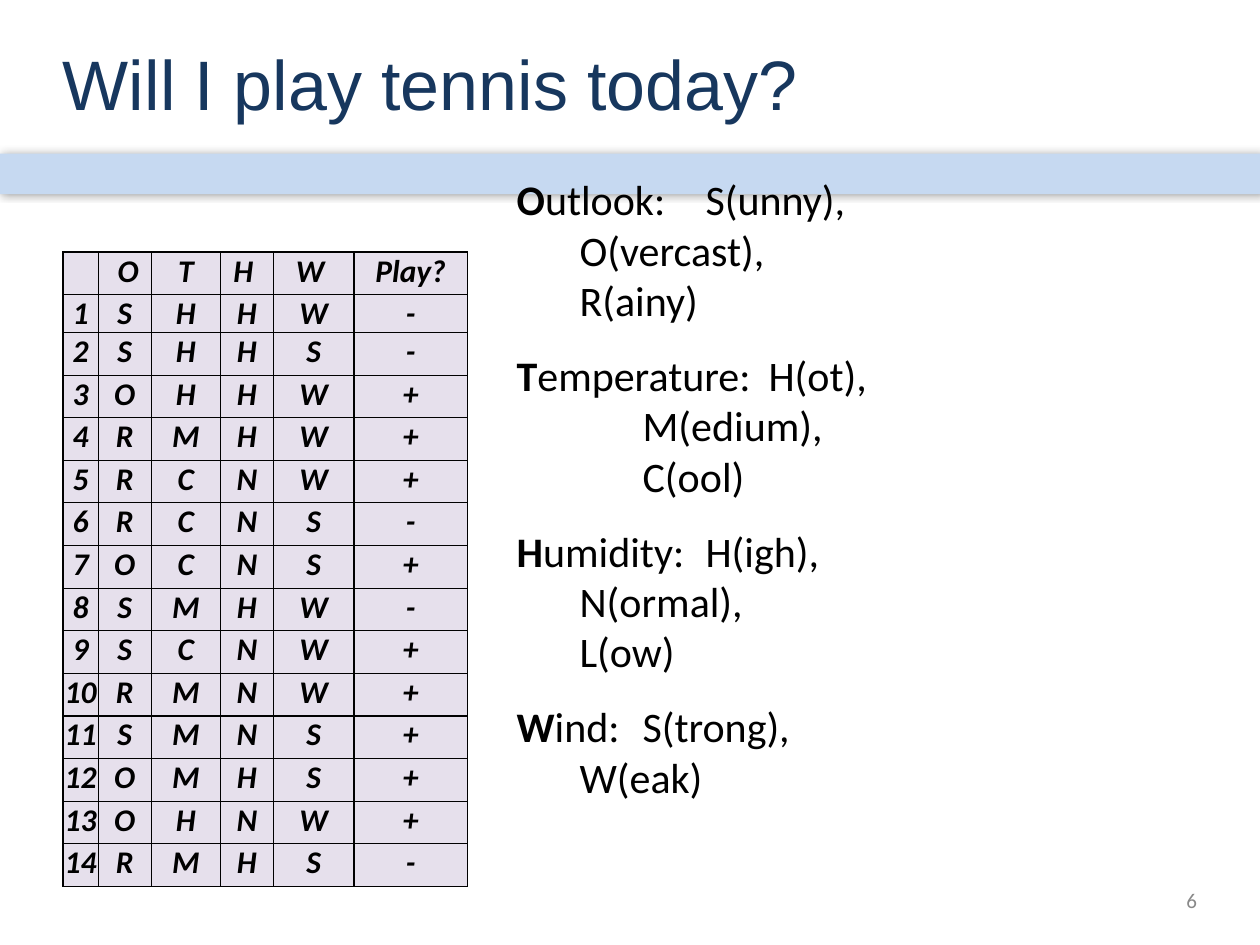
from lxml.etree import SubElement
from pptx import Presentation
from pptx.dml.color import RGBColor
from pptx.enum.shapes import MSO_SHAPE
from pptx.enum.text import MSO_ANCHOR as ANCHOR, PP_ALIGN as ALIGN
from pptx.oxml import parse_xml
from pptx.oxml.ns import nsdecls, qn
from pptx.util import Inches, Pt

W, H = 10, 7.5
TITLE = "Will I play tennis today?"
PAGE = "6"
HEADER = ["", " O", "T", "H ", "W ", "Play?"]
# One string per day: outlook, temperature, humidity, wind, play
DAYS = ["SHHW-", "SHHS-", "OHHW+", "RMHW+", "RCNW+", "RCNS-", "OCNS+",
        "SMHW-", "SCNW+", "RMNW+", "SMNS+", "OMHS+", "OHNW+", "RMHS-"]
# Each attribute: first line, then the lines below it
ATTRIBUTES = [
    ["Outlook:\tS(unny),", "\tO(vercast),", "\tR(ainy)"],
    ["Temperature:\tH(ot),", "\t\tM(edium),", "\t\tC(ool)"],
    ["Humidity:\tH(igh),", "\tN(ormal),", "\tL(ow)"],
    ["Wind:\tS(trong),", "\tW(eak)"],
]
COL_WIDTHS = [0.28, 0.42, 0.55, 0.42, 0.64, 0.9]
TABLE_H, SHORT_ROW_H = 5.04, 0.3


def rgb(color):
    return RGBColor.from_string(color)


def style(font, size, color="000000", name="Calibri", bold=False, italic=False):
    font.size, font.name, font.bold, font.italic = Pt(size), name, bold, italic
    font.color.rgb = rgb(color)


def add_text(x, y, w, h, text="", inset=0, anchor=ANCHOR.MIDDLE):
    box = slide.shapes.add_textbox(Inches(x), Inches(y), Inches(w), Inches(h))
    tf = box.text_frame
    tf.word_wrap, tf.vertical_anchor = True, anchor
    tf.margin_left = tf.margin_right = Inches(inset)
    tf.margin_top = tf.margin_bottom = Inches(inset)
    tf.text = text
    return tf


def add_borders(cell):
    tcPr = cell._tc.get_or_add_tcPr()
    for side in ("a:lnL", "a:lnR", "a:lnT", "a:lnB"):
        ln = SubElement(tcPr, qn(side), w=str(Pt(0.75)))
        SubElement(SubElement(ln, qn("a:solidFill")), qn("a:srgbClr"), val="000000")


prs = Presentation()
prs.slide_width, prs.slide_height = Inches(W), Inches(H)
slide = prs.slides.add_slide(prs.slide_layouts[6])

# Band under the title, with a soft shadow
band = slide.shapes.add_shape(MSO_SHAPE.RECTANGLE, 0, Inches(1.22), Inches(W), Inches(0.32))
band.fill.solid()
band.fill.fore_color.rgb = rgb("C6D9F1")
band.line.fill.background()
band._element.spPr.append(parse_xml(
    f'<a:effectLst {nsdecls("a")}><a:outerShdw blurRad="{Pt(5)}" dist="{Pt(1.6)}" dir="0">'
    '<a:srgbClr val="000000"><a:alpha val="38000"/></a:srgbClr></a:outerShdw></a:effectLst>'))

# Title
tf = add_text(0.5, 0.03, 9, 1.25, TITLE)
style(tf.paragraphs[0].runs[0].font, 40, "17375E", "Arial")

# Table of days
rows = [HEADER] + [[str(n), *day] for n, day in enumerate(DAYS, 1)]
table = slide.shapes.add_table(len(rows), len(HEADER), Inches(0.5), Inches(2),
                               Inches(sum(COL_WIDTHS)), Inches(TABLE_H)).table
table.first_row = table.horz_banding = False
for col, width in zip(table.columns, COL_WIDTHS):
    col.width = Inches(width)
for i, values in enumerate(rows):
    tall = (TABLE_H - SHORT_ROW_H) / (len(rows) - 1)
    table.rows[i].height = Inches(SHORT_ROW_H if i == 1 else tall)
    for j, value in enumerate(values):
        cell = table.cell(i, j)
        cell.margin_left = cell.margin_right = cell.margin_top = cell.margin_bottom = 0
        add_borders(cell)
        cell.fill.solid()
        cell.fill.fore_color.rgb = rgb("E6E0EC")
        cell.text = value
        p = cell.text_frame.paragraphs[0]
        p.alignment = ALIGN.CENTER
        style(p.font, 18, bold=True, italic=True)
        for r in p.runs:
            style(r.font, 18, bold=True, italic=True)

# Page number
tf = add_text(7.17, 7, 2.33, 0.29, PAGE)
tf.paragraphs[0].alignment = ALIGN.RIGHT
style(tf.paragraphs[0].runs[0].font, 12, "898989")

# Attribute key, with bold initials
tf = add_text(4.05, 1.33, 4.42, 4.98, inset=0.05, anchor=ANCHOR.TOP)
for i, (first, *others) in enumerate(ATTRIBUTES):
    p = tf.add_paragraph() if i else tf.paragraphs[0]
    if i:
        p.space_before = Pt(14)
    p.text = "\v".join([first[1:], *others])
    initial = p.add_run()
    initial.text = first[0]
    p._p.insert(p._p.index(p.runs[0]._r), initial._r)
    for k, r in enumerate(p.runs):
        style(r.font, 24, bold=k == 0)

prs.save("out.pptx")
